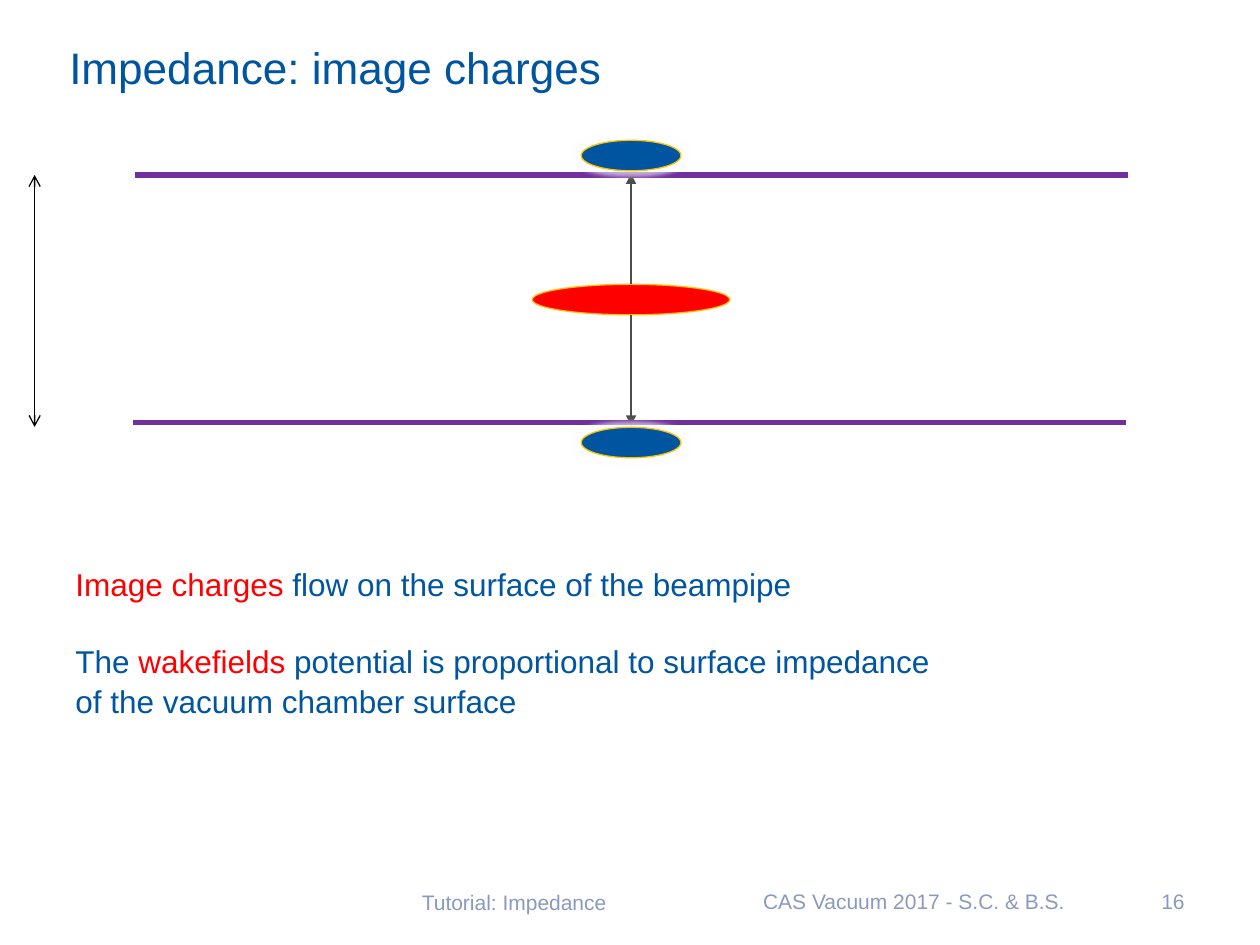
import pptx
import pptx.util
import pptx.dml.color
import pptx.enum.shapes
import pptx.enum.text
from lxml import etree
from pptx.oxml.ns import qn

Pt = pptx.util.Pt
ALIGN = pptx.enum.text.PP_ALIGN
ANCHOR = pptx.enum.text.MSO_ANCHOR
BLUE, RED, GOLD, PURPLE = "0055A0", "FF0000", "FFC000", "7030A0"
GREY, BLACK, FOOTER, WHITE = "4D4D4D", "000000", "8C99BE", "FFFFFF"

TITLE = "Impedance: image charges"
BODY = [
    [("Image charges ", RED), ("flow on the surface of the beampipe", BLUE)],
    [("The ", BLUE), ("wakefields ", RED),
     ("potential is proportional to surface impedance\vof the vacuum chamber surface", BLUE)],
]
# text, left, top, width, alignment
FOOTERS = [
    ("Tutorial: Impedance", 234, 501.2, 167.8, ALIGN.LEFT),
    ("CAS Vacuum 2017 - S.C. & B.S.", 408.2, 500.4, 228.3, ALIGN.CENTER),
    ("16", 644.4, 500.4, 39.6, ALIGN.RIGHT),
]

BEAM_X = 360.6
BUNCH_Y, BUNCH_WIDTH = 171.2, 113
IMAGE_WIDTH, CHARGE_HEIGHT = 57, 17.4
UPPER_IMAGE_Y, LOWER_IMAGE_Y = 88.9, 252.9
UPPER_WALL_Y, LOWER_WALL_Y, WALL_LENGTH = 100, 241.6, 567.4

deck = pptx.Presentation()
deck.slide_width, deck.slide_height = Pt(720), Pt(540)
page = deck.slides.add_slide(deck.slide_layouts[6])


def color(value):
    return pptx.dml.color.RGBColor.from_string(value)


def add_text(paragraphs, left, top, width, height, size, align=ALIGN.LEFT,
             anchor=ANCHOR.MIDDLE, side=7.2, gap=0, spacing=1.0):
    """Add a text box; each paragraph is a list of (text, colour) spans."""
    box = page.shapes.add_textbox(Pt(left), Pt(top), Pt(width), Pt(height))
    frame = box.text_frame
    frame.word_wrap = True
    frame.vertical_anchor = anchor
    frame.margin_left = frame.margin_right = Pt(side)
    frame.margin_top = frame.margin_bottom = Pt(3.6)
    for index, spans in enumerate(paragraphs):
        para = frame.add_paragraph() if index else frame.paragraphs[0]
        para.alignment = align
        para.line_spacing = spacing
        para.space_before = Pt(gap if index else 0)
        for text, fill in spans:
            for number, part in enumerate(text.split("\v")):
                if number:
                    para.add_line_break()
                span = para.add_run()
                span.text = part
                span.font.name = "Arial"
                span.font.size = Pt(size)
                span.font.color.rgb = color(fill)


def add_line(x1, y1, x2, y2, stroke, weight, head=None, tail=None):
    line = page.shapes.add_connector(
        pptx.enum.shapes.MSO_CONNECTOR.STRAIGHT, Pt(x1), Pt(y1), Pt(x2), Pt(y2))
    line.line.color.rgb = color(stroke)
    line.line.width = Pt(weight)
    outline = line.line._get_or_add_ln()
    for tag, kind in (("a:headEnd", head), ("a:tailEnd", tail)):
        if kind:
            etree.SubElement(outline, qn(tag), type=kind)
    etree.SubElement(line._element.spPr, qn("a:effectLst"))


def add_charge(center_y, width, fill, glow=0):
    """Add an ellipse on the beam axis, with an optional white glow."""
    charge = page.shapes.add_shape(
        pptx.enum.shapes.MSO_SHAPE.OVAL, Pt(BEAM_X - width / 2),
        Pt(center_y - CHARGE_HEIGHT / 2), Pt(width), Pt(CHARGE_HEIGHT))
    charge.shadow.inherit = False
    charge.fill.solid()
    charge.fill.fore_color.rgb = color(fill)
    charge.line.color.rgb = color(GOLD)
    charge.line.width = Pt(0.75)
    if glow:
        effects = charge._element.spPr.find(qn("a:effectLst"))
        halo = etree.SubElement(effects, qn("a:glow"), rad=str(Pt(glow)))
        tint = etree.SubElement(halo, qn("a:srgbClr"), val=WHITE)
        etree.SubElement(tint, qn("a:alpha"), val="60000")


add_text([[(TITLE, BLUE)]], 36, 18.7, 648, 38.9, 25.2, side=3.6)
for text, left, top, width, align in FOOTERS:
    add_text([[(text, FOOTER)]], left, top, width, 28.8, 12, align=align)

add_line(77, UPPER_WALL_Y, 77 + WALL_LENGTH, UPPER_WALL_Y, PURPLE, 3)
add_charge(BUNCH_Y, BUNCH_WIDTH, RED)
for direction in (-1, 1):
    start = BUNCH_Y + direction * CHARGE_HEIGHT / 2
    add_line(BEAM_X, start, BEAM_X, start + direction * 63.4, GREY, 1.5, tail="triangle")
add_line(76, LOWER_WALL_Y, 76 + WALL_LENGTH, LOWER_WALL_Y, PURPLE, 3)
for center_y in (UPPER_IMAGE_Y, LOWER_IMAGE_Y):
    add_charge(center_y, IMAGE_WIDTH, BLUE, glow=5)
add_line(19.8, 100, 19.8, 244, BLACK, 0.75, head="arrow", tail="arrow")

add_text(BODY, 36, 318.2, 595.4, 94.3, 18, anchor=ANCHOR.TOP, gap=21.6, spacing=1.05)

deck.save("out.pptx")
